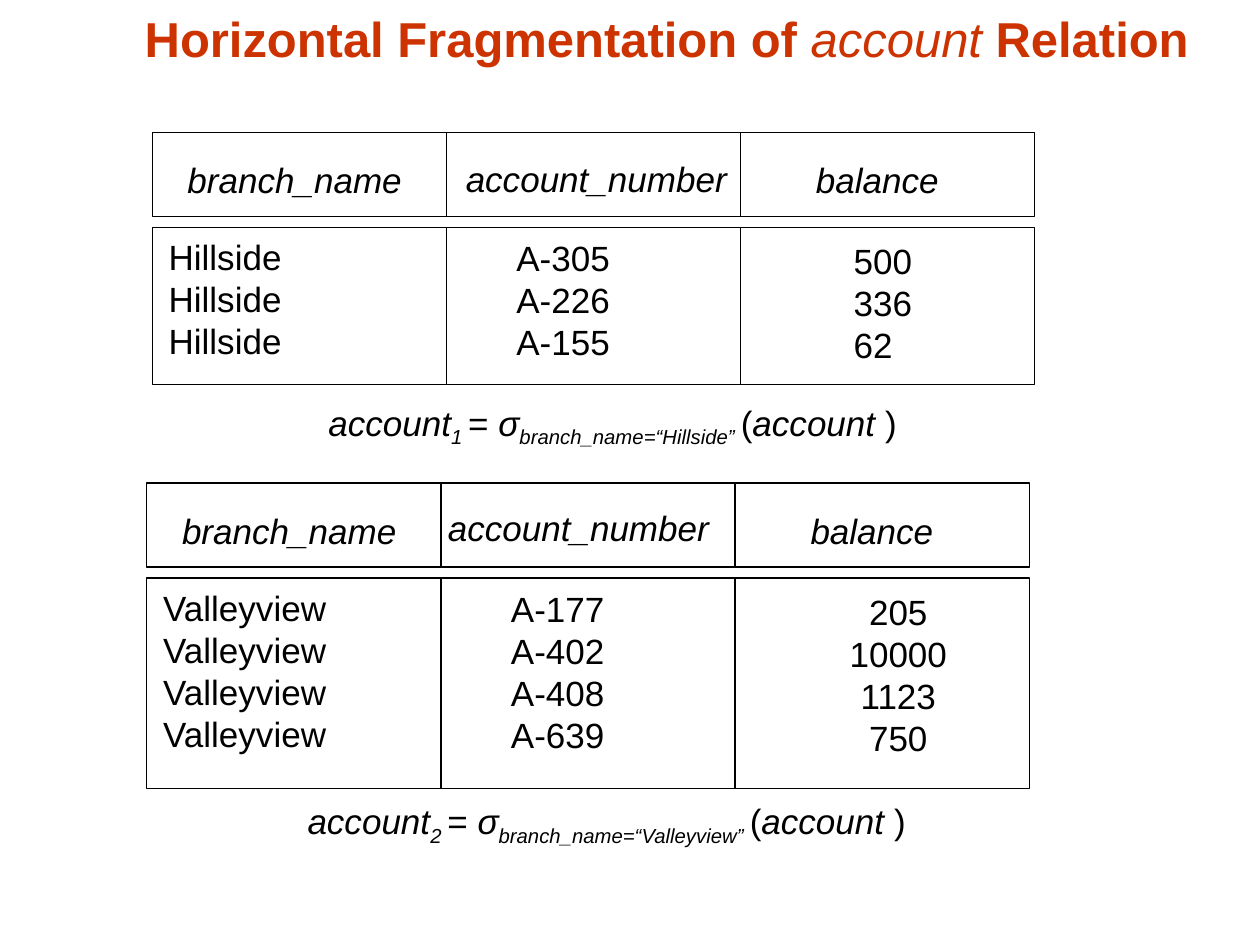
import pptx
import pptx.util
import pptx.dml.color
import pptx.enum.shapes
import pptx.enum.text

Cm, Pt = pptx.util.Cm, pptx.util.Pt
Align = pptx.enum.text.PP_ALIGN
Fit = pptx.enum.text.MSO_AUTO_SIZE
hues = {"title": "CC3300", "ink": "000000", "paper": "FFFFFF"}
rgb = {k: pptx.dml.color.RGBColor.from_string(v) for k, v in hues.items()}


def style(para, size, hue):
    para.font.name = "Arial"
    para.font.size = Pt(size)
    para.font.color.rgb = rgb[hue]


def label(left, top, wide, high, rows, wrap=False):
    box = slide.shapes.add_textbox(Cm(left), Cm(top), Cm(wide), Cm(high))
    frame = box.text_frame
    frame.word_wrap = wrap
    frame.auto_size = Fit.SHAPE_TO_FIT_TEXT
    frame.text = "\n".join(rows)
    for para in frame.paragraphs:
        style(para, 20, "ink")
    return frame.paragraphs


deck = pptx.Presentation()
deck.slide_width, deck.slide_height = Cm(25.4), Cm(19.05)
slide = deck.slides.add_slide(deck.slide_layouts[5])

title = slide.shapes.title
title.left, title.top, title.width, title.height = Cm(1.06), Cm(0), Cm(24.76), Cm(1.47)
frame = title.text_frame
frame.auto_size = Fit.NONE
frame.vertical_anchor = pptx.enum.text.MSO_ANCHOR.BOTTOM
head = frame.paragraphs[0]
head.alignment = Align.CENTER
head.line_spacing = 0.8
style(head, 28, "title")
for text, slant in [("Horizontal Fragmentation of ", False), ("account", True), (" Relation", False)]:
    run = head.add_run()
    run.text = text
    run.font.bold, run.font.italic = not slant, slant

col = 5.93
names = ["branch_name", "account_number", "balance"]
tables = [
    {"left": 3.07, "top": 2.67, "high": 3.18, "shift": (6.07, 0.38), "branch": "Hillside",
     "wides": [2.82, 2.41, 1.7], "side": Align.LEFT, "note": (6.37, 7.96, 12.98, 1.22),
     "rows": [("A-305", "500"), ("A-226", "336"), ("A-155", "62")]},
    {"left": 2.96, "top": 9.74, "high": 4.24, "shift": (5.82, 0.34), "branch": "Valleyview",
     "wides": [3.84, 2.41, 2.52], "side": Align.CENTER, "note": (5.95, 16, 13.56, 2.08),
     "rows": [("A-177", "205"), ("A-402", "10000"), ("A-408", "1123"), ("A-639", "750")]},
]

for num, tab in enumerate(tables, 1):
    left, top, rows = tab["left"], tab["top"], tab["rows"]
    data = list(zip(*[(tab["branch"], *row) for row in rows]))
    tall = 0.25 + 0.85 * len(rows)
    over, down = tab["shift"]
    bands = [
        (0, 1.69, [[name] for name in names], [0.46, over, 13.13],
         [0.4, down, 0.4], [4.85, 5.79, 3.03], 1.12),
        (1.91, tab["high"], data, [0.08, 7.09, 13.89],
         [0.05, 0.07, 0.12], tab["wides"], tall),
    ]
    for drop, high, texts, lefts, tops, wides, size in bands:
        for i in range(3):
            cell = slide.shapes.add_shape(
                pptx.enum.shapes.MSO_SHAPE.RECTANGLE,
                Cm(left + i * col), Cm(top + drop), Cm(col), Cm(high))
            cell.shadow.inherit = False
            cell.fill.solid()
            cell.fill.fore_color.rgb = rgb["paper"]
            cell.line.color.rgb = rgb["ink"]
            cell.line.width = Pt(0.75)
            paras = label(left + lefts[i], top + drop + tops[i], wides[i], size, texts[i])
            for para in paras:
                para.font.italic = drop == 0
                para.alignment = tab["side"] if drop and i == 2 else Align.LEFT

    note = label(*tab["note"], [""], True)[0]
    parts = [("account", True, False), (f"{num} ", True, True), ("= ", False, False),
             ("σ", True, False), (f"branch_name=“{tab['branch']}” ", True, True),
             ("(", False, False), ("account ", True, False), (")", False, False)]
    for text, slant, sub in parts:
        run = note.add_run()
        run.text = text
        run.font.italic = slant
        if sub:
            run._r.get_or_add_rPr().set("baseline", "-25000")

deck.save("out.pptx")
